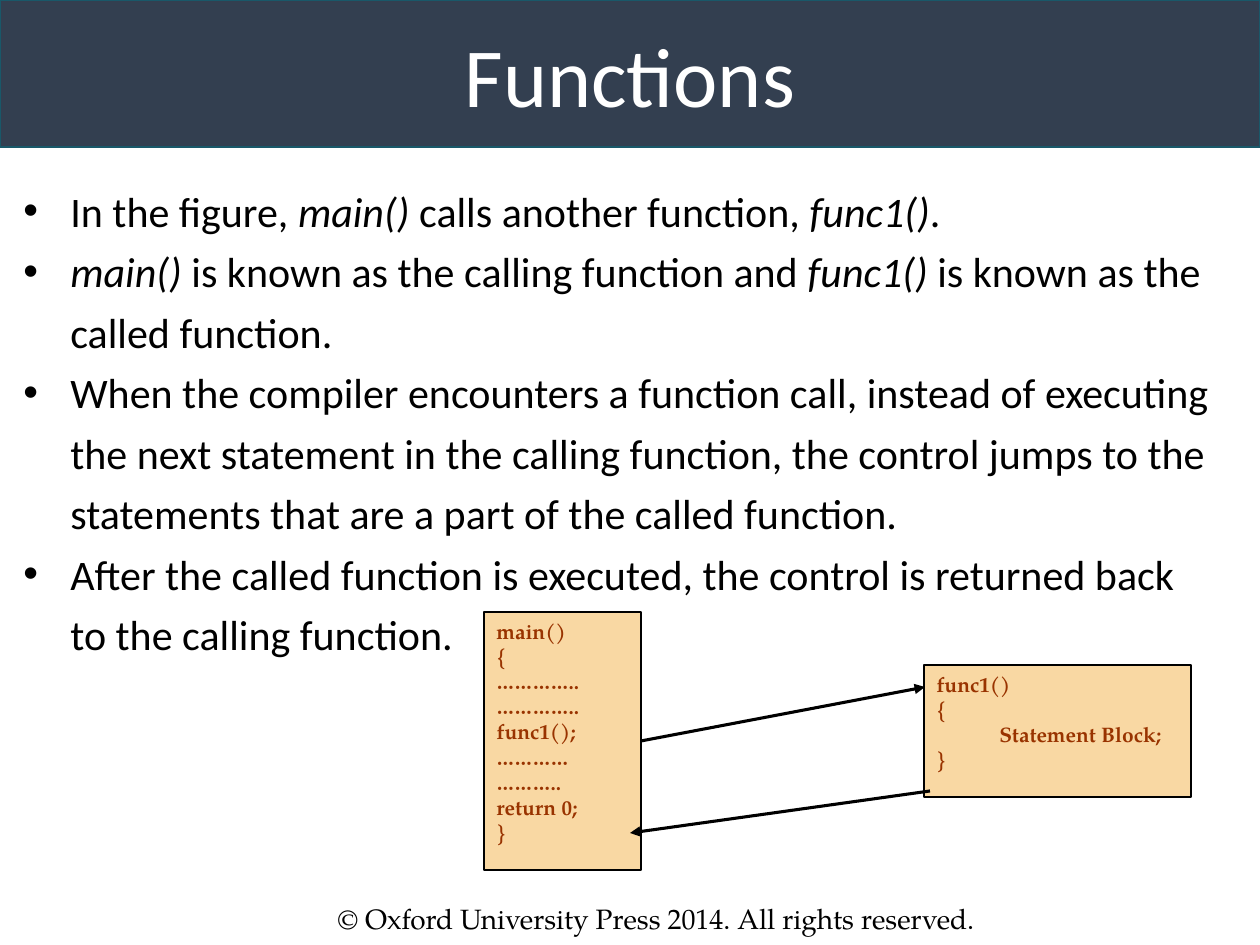
"""Build the slide on calling and called functions."""
from dataclasses import dataclass

from lxml.etree import SubElement
from pptx import Presentation
from pptx.dml.color import RGBColor as Rgb
from pptx.enum.shapes import MSO_CONNECTOR as Connector, MSO_SHAPE as Shape
from pptx.enum.text import MSO_ANCHOR as Anchor, MSO_AUTO_SIZE as AutoSize, PP_ALIGN as Align
from pptx.oxml.ns import qn
from pptx.util import Emu, Pt

RIGHT_SIDE = 3


@dataclass(frozen=True)
class Theme:
    black: str = "000000"
    white: str = "FFFFFF"
    banner: str = "333F50"
    banner_edge: str = "195869"
    code_fill: str = "F9D8A3"
    code_text: str = "993300"
    sans: str = "Calibri"
    serif: str = "TeX Gyre Pagella"
    title_size: int = 48
    body_size: int = 24
    footer_size: int = 16
    code_size: int = 12


def px(length):
    return Emu(round(length * 914400 / 126))


def write_text(frame, text, *, font, size, color, bold=False, align=Align.LEFT,
               anchor=Anchor.TOP, spacing=None, bullet_indent=0, tab=0):
    """Write one paragraph per line, with *asterisks* around italic words."""
    frame.word_wrap = True
    frame.vertical_anchor = anchor
    for index, line in enumerate(text.split("\n")):
        paragraph = frame.add_paragraph() if index else frame.paragraphs[0]
        paragraph.alignment = align
        props = paragraph._p.get_or_add_pPr()
        if bullet_indent:
            props.set("marL", str(px(bullet_indent)))
            props.set("indent", str(-px(bullet_indent)))
            SubElement(props, qn("a:buFont"), typeface="Arial")
            SubElement(props, qn("a:buChar"), char="•")
        if tab:
            stops = SubElement(props, qn("a:tabLst"))
            SubElement(stops, qn("a:tab"), pos=str(px(tab)), algn="l")
        if spacing:
            paragraph.line_spacing = spacing
        for part, words in enumerate(line.split("*")):
            if words:
                run = paragraph.add_run()
                run.text = words
                run.font.name = font
                run.font.size = Pt(size)
                run.font.bold = bold
                run.font.italic = part % 2 == 1
                run.font.color.rgb = Rgb.from_string(color)


class SlideBuilder:
    def __init__(self, slide, theme):
        self.slide = slide
        self.theme = theme

    def panel(self, box, text, *, fill, edge, edge_width, **text_format):
        panel = self.slide.shapes.add_shape(Shape.RECTANGLE, *map(px, box))
        panel.shadow.inherit = False
        panel.fill.solid()
        panel.fill.fore_color.rgb = Rgb.from_string(fill)
        panel.line.color.rgb = Rgb.from_string(edge)
        panel.line.width = Pt(edge_width)
        write_text(panel.text_frame, text, **text_format)
        return panel

    def code_panel(self, box, code):
        theme = self.theme
        return self.panel(box, code, fill=theme.code_fill, edge=theme.black, edge_width=0.75,
                          font=theme.serif, size=theme.code_size, color=theme.code_text,
                          bold=True, tab=63)

    def text_box(self, box, text, **text_format):
        frame = self.slide.shapes.add_textbox(*map(px, box)).text_frame
        frame.auto_size = AutoSize.SHAPE_TO_FIT_TEXT
        write_text(frame, text, color=self.theme.black, **text_format)

    def arrow(self, start, end):
        arrow = self.slide.shapes.add_connector(Connector.STRAIGHT, *map(px, start + end))
        arrow.line.color.rgb = Rgb.from_string(self.theme.black)
        arrow.line.width = Pt(1.75)
        SubElement(arrow.line._get_or_add_ln(), qn("a:tailEnd"), type="triangle")
        SubElement(arrow._element.spPr, qn("a:effectLst"))
        return arrow


MAIN_CODE = """main()
{
…………..
…………..
func1();
…………
………..
return 0;
}"""

FUNC1_CODE = """func1()
{
\tStatement Block;
}"""

EXPLANATION = "\n".join([
    "In the figure, *main()* calls another function, *func1()*.",
    "*main()* is known as the calling function and *func1()* is known as the called function.",
    "When the compiler encounters a function call, instead of executing the next statement in "
    "the calling function, the control jumps to the statements that are a part of the called "
    "function.",
    "After the called function is executed, the control is returned back to the calling function.",
])


def main():
    theme = Theme()
    deck = Presentation()
    deck.slide_width, deck.slide_height = px(1260), px(945)
    builder = SlideBuilder(deck.slides.add_slide(deck.slide_layouts[6]), theme)

    builder.text_box((325, 895, 746, 47), "© Oxford University Press 2014. All rights reserved.",
                     font=theme.serif, size=theme.footer_size)
    builder.panel((0, 0, 1260, 147), "Functions", fill=theme.banner, edge=theme.banner_edge,
                  edge_width=1, font=theme.sans, size=theme.title_size, color=theme.white,
                  align=Align.CENTER, anchor=Anchor.MIDDLE)

    calling = builder.code_panel((484, 612, 157, 258), MAIN_CODE)
    builder.code_panel((924, 665, 267, 132), FUNC1_CODE)
    call = builder.arrow((641, 741), (925, 687))
    call.begin_connect(calling, RIGHT_SIDE)
    builder.arrow((930, 791), (630, 833))

    builder.text_box((11, 169, 1217, 496), EXPLANATION, font=theme.sans, size=theme.body_size,
                     spacing=1.2, bullet_indent=47)
    deck.save("out.pptx")


if __name__ == "__main__":
    main()
